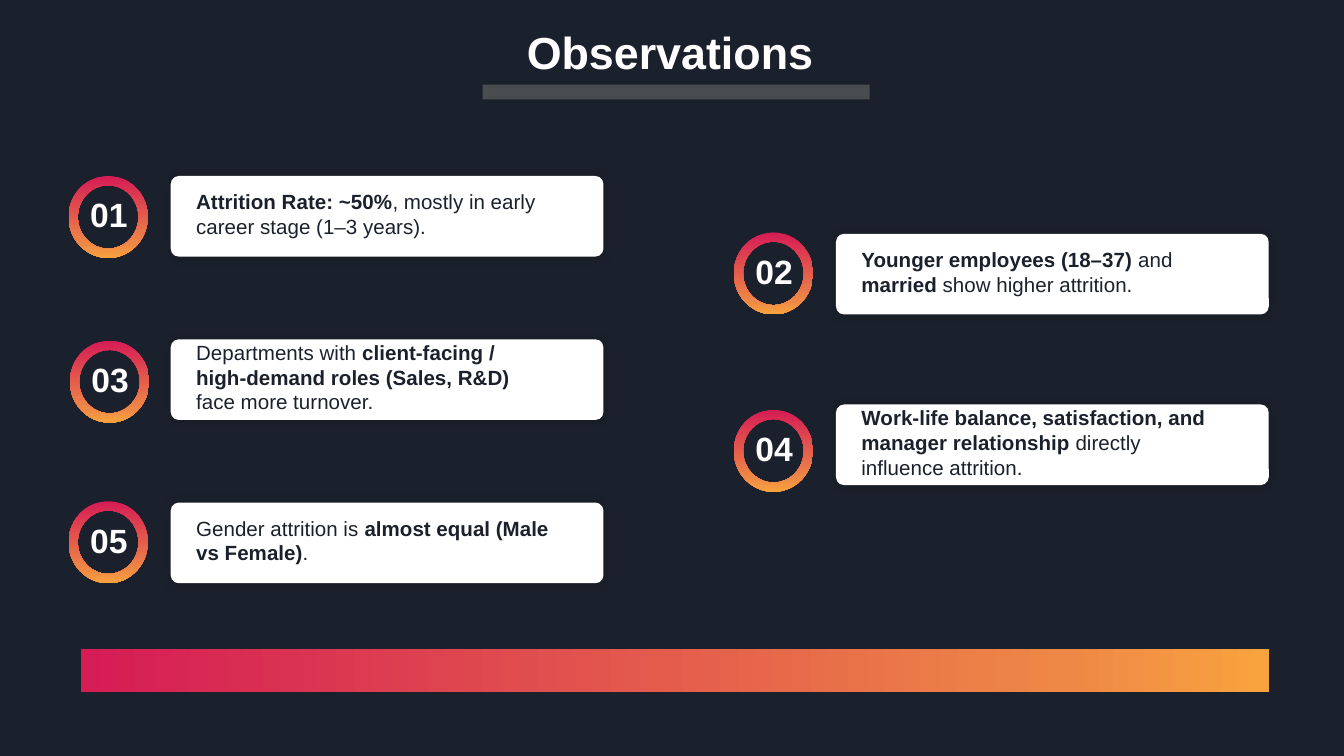
from pptx import Presentation
from pptx.util import Inches, Pt
from pptx.dml.color import RGBColor
from pptx.enum.shapes import MSO_SHAPE as SHAPE
from pptx.enum.text import MSO_ANCHOR as ANCHOR, PP_ALIGN as ALIGN
from pptx.oxml import parse_xml
from pptx.oxml.ns import nsdecls

WIDTH = 10
HEIGHT = WIDTH * 9 / 16
NAVY = RGBColor(0x1B, 0x21, 0x2C)
WHITE = RGBColor(0xFF, 0xFF, 0xFF)
GRAY = RGBColor(0x49, 0x4D, 0x50)
BLACK = RGBColor(0, 0, 0)
CRIMSON = RGBColor(0xD5, 0x1C, 0x55)
ORANGE = RGBColor(0xEE, 0x88, 0x46)
AMBER = RGBColor(0xF9, 0xA3, 0x3E)
STOPS = [(0, CRIMSON), (83, ORANGE), (100, AMBER)]

LEFT, RIGHT = 0.51, 5.46
TOP, BOTTOM = 1.31, 3.74
MIDDLE = (TOP + BOTTOM) / 2
RING_W, RING_H = 0.59, 0.61
CARD_X, CARD_W, CARD_H = 0.76, 3.22, 0.6
PADDED = (0.07, 0.04, 0.07, 0.04)

ITEMS = [
    ("01", LEFT, TOP, 0, 0,
     [("Attrition Rate: ~50%", True),
      (", mostly in early career stage (1–3 years).", False)]),
    ("02", RIGHT, 1.74, 0, -0.01,
     [("Younger employees (18–37)", True), (" and ", False),
      ("married", True), (" show higher attrition.", False)]),
    ("03", LEFT, MIDDLE, 0.01, 0.01,
     [("Departments with ", False),
      ("client-facing / high-demand roles (Sales, R&D)", True),
      (" face more turnover.", False)]),
    ("04", RIGHT, 3.01, 0, 0.04,
     [("Work-life balance, satisfaction, and manager relationship", True),
      (" directly influence attrition.", False)]),
    ("05", LEFT, BOTTOM, 0, -0.01,
     [("Gender attrition is ", False),
      ("almost equal (Male vs Female)", True), (".", False)]),
]


def add_shape(s, kind, x, y, w, h, color=None, adj=None):
    sp = s.shapes.add_shape(kind, Inches(x), Inches(y), Inches(w), Inches(h))
    sp.shadow.inherit = False
    sp.line.fill.background()
    if color is not None:
        sp.fill.solid()
        sp.fill.fore_color.rgb = color
    if adj is not None:
        sp.adjustments[0] = adj
    return sp


def add_gradient(sp, angle):
    stops = "".join(
        f'<a:gs pos="{pos * 1000}"><a:srgbClr val="{color}"/></a:gs>'
        for pos, color in STOPS)
    grad = parse_xml(
        f'<a:gradFill {nsdecls("a")} rotWithShape="1"><a:gsLst>{stops}</a:gsLst>'
        f'<a:lin ang="{angle * 60000}" scaled="0"/></a:gradFill>')
    sp.element.spPr.find("{*}prstGeom").addnext(grad)


def add_glow_shadow(sp):
    effects = sp.element.spPr.find("{*}effectLst")
    effects.append(parse_xml(
        f'<a:outerShdw {nsdecls("a")} blurRad="{Pt(5)}" dist="0" dir="0" '
        f'algn="ctr" rotWithShape="0"><a:srgbClr val="{BLACK}">'
        '<a:alpha val="20000"/></a:srgbClr></a:outerShdw>'))


def add_text(s, runs, x, y, w, h, size=11, color=NAVY, align=ALIGN.LEFT,
             anchor=ANCHOR.TOP, insets=(0, 0, 0, 0), spacing=None):
    sp = s.shapes.add_textbox(Inches(x), Inches(y), Inches(w), Inches(h))
    tf = sp.text_frame
    tf.word_wrap = True
    tf.vertical_anchor = anchor
    (tf.margin_left, tf.margin_top,
     tf.margin_right, tf.margin_bottom) = map(Inches, insets)
    p = tf.paragraphs[0]
    p.alignment = align
    if spacing:
        p.line_spacing = spacing
    for text, bold in runs:
        r = p.add_run()
        r.text = text
        r.font.name = "Arial"
        r.font.size = Pt(size)
        r.font.bold = bold
        r.font.color.rgb = color


def add_title(s, x, y, w, h):
    add_text(s, [("Observations", True)], x + 0.26, y, w * 0.8, h,
             size=24, color=WHITE, insets=PADDED, spacing=0.9)
    add_shape(s, SHAPE.RECTANGLE, x, y + 0.44, w, 0.11, GRAY)


def add_item(s, number, x, y, dx, dy, runs):
    card_x = x + CARD_X
    card = add_shape(s, SHAPE.ROUNDED_RECTANGLE, card_x, y, CARD_W, CARD_H,
                     WHITE, 0.1)
    add_glow_shadow(card)
    add_text(s, runs, card_x + 0.19, y + 0.14, 2.63, 0.28,
             anchor=ANCHOR.MIDDLE)
    ring_x, ring_y = x + dx, y + dy
    ring = add_shape(s, SHAPE.DONUT, ring_x, ring_y, RING_W, RING_H, adj=0.117)
    add_gradient(ring, 90)
    add_text(s, [(number, True)], ring_x + 0.08, ring_y + 0.13, 0.44, 0.3,
             size=18, color=WHITE, align=ALIGN.CENTER, insets=PADDED,
             spacing=0.9)


def add_footer(s, x, y, w, h):
    bar = add_shape(s, SHAPE.RECTANGLE, x, y, w, h)
    add_gradient(bar, 0)


def main():
    prs = Presentation()
    prs.slide_width, prs.slide_height = Inches(WIDTH), Inches(HEIGHT)
    s = prs.slides.add_slide(prs.slide_layouts[6])
    s.background.fill.solid()
    s.background.fill.fore_color.rgb = NAVY
    add_title(s, 3.59, 0.19, 2.88, 0.48)
    for item in ITEMS:
        add_item(s, *item)
    add_footer(s, 0.6, 4.83, 8.84, 0.32)
    prs.save("out.pptx")


if __name__ == "__main__":
    main()
